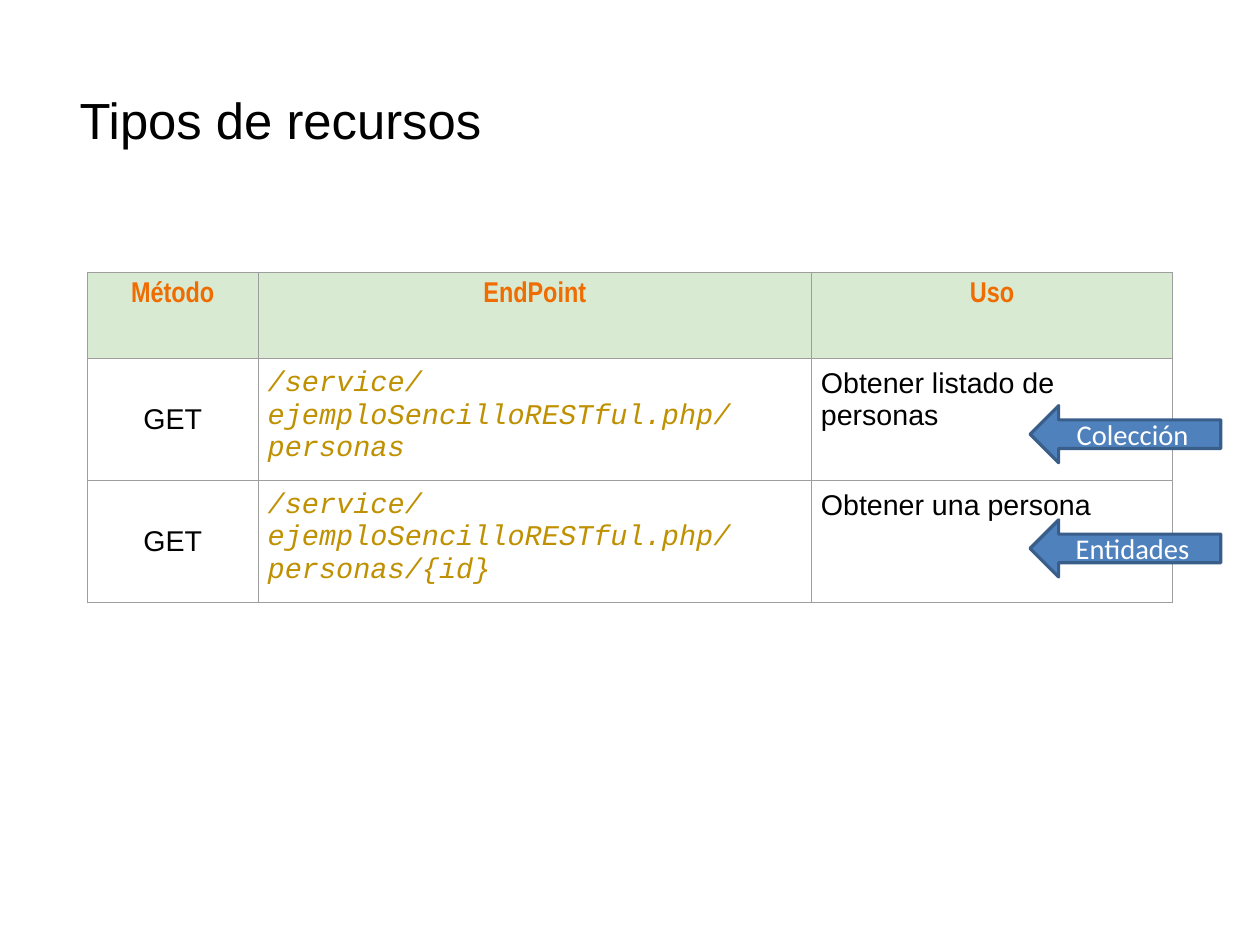
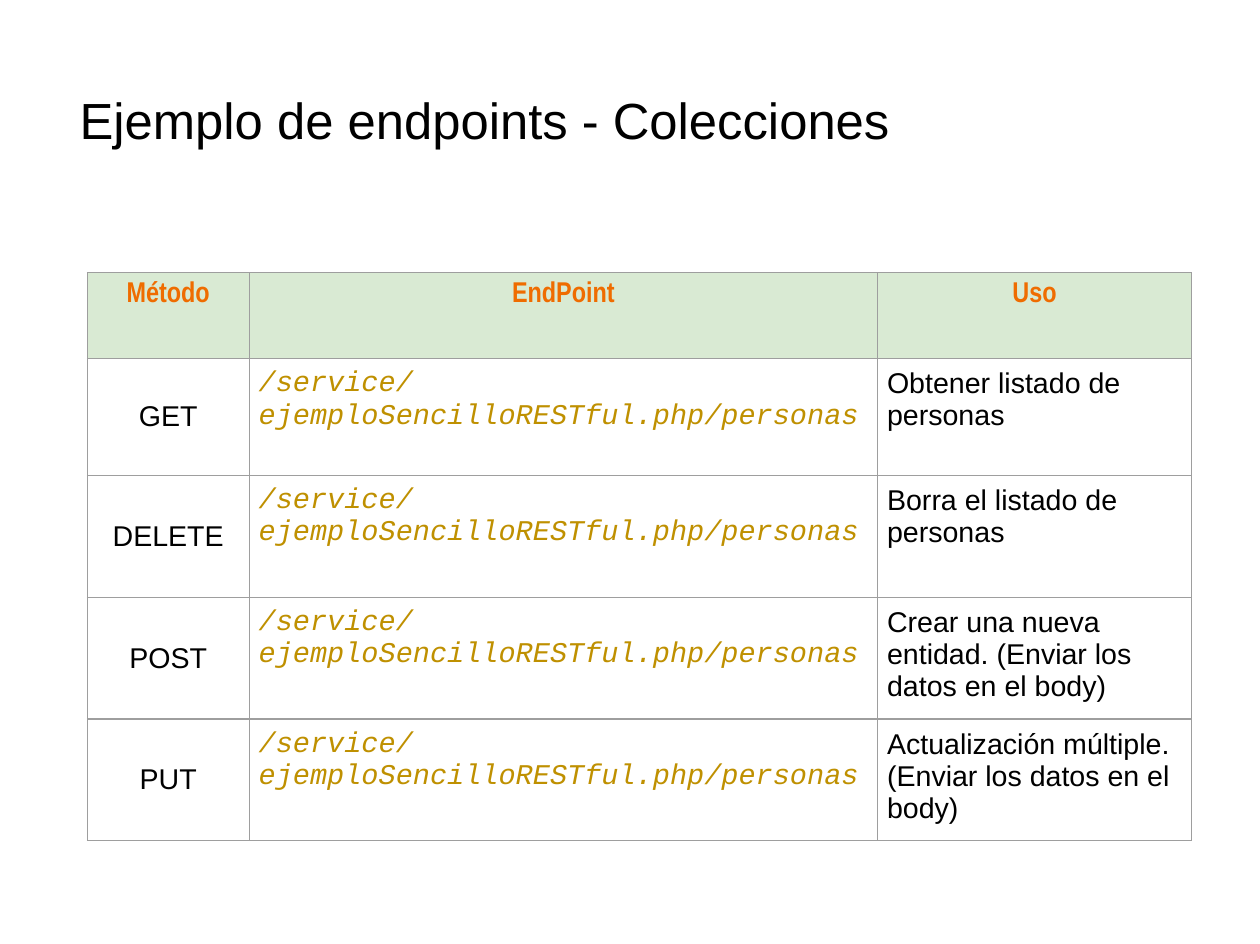
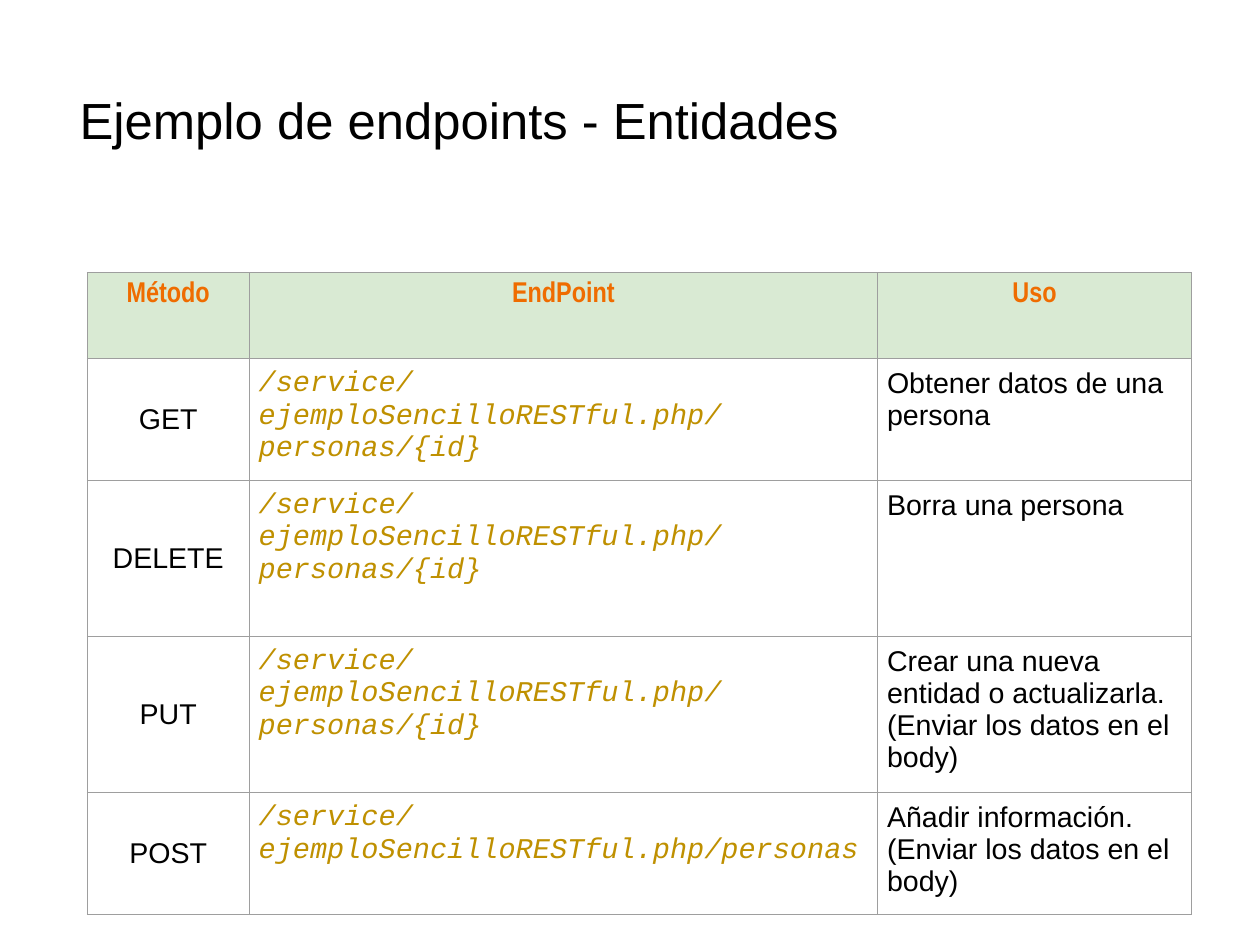
from lxml import etree
from pptx import Presentation
from pptx.dml.color import RGBColor
from pptx.enum.shapes import MSO_SHAPE
from pptx.enum.text import MSO_ANCHOR, PP_ALIGN
from pptx.oxml.ns import qn
from pptx.util import Cm, Pt

LEFT, CENTER = PP_ALIGN.LEFT, PP_ALIGN.CENTER
TOP, MIDDLE = MSO_ANCHOR.TOP, MSO_ANCHOR.MIDDLE
LEFT_ARROW = MSO_SHAPE.LEFT_ARROW

BLACK = RGBColor(0x00, 0x00, 0x00)
WHITE = RGBColor(0xFF, 0xFF, 0xFF)
ORANGE = RGBColor(0xEF, 0x6C, 0x00)
GOLD = RGBColor(0xBF, 0x90, 0x00)
PALE_GREEN = RGBColor(0xD9, 0xEA, 0xD3)
GREY = RGBColor(0x9E, 0x9E, 0x9E)
BLUE = RGBColor(0x4F, 0x81, 0xBD)
DARK_BLUE = RGBColor(0x39, 0x5E, 0x89)

# Column styles: alignment, anchor, font, colour, italic
BODY_STYLES = [
    (CENTER, MIDDLE, "Arial", BLACK, False),
    (LEFT, TOP, "Courier New", GOLD, True),
    (LEFT, TOP, "Arial", BLACK, False),
]
HEADINGS = ["Método", "EndPoint", "Uso"]
HEADING_STYLE = (CENTER, TOP, "Arial Narrow", ORANGE, False)
HEADING_HEIGHT = 1.91
CELL_MARGIN = Cm(0.21)

COLLECTION = "/service/ejemploSencilloRESTful.php/personas"
ENTITY = COLLECTION + "/{id}"
NARROW_USE = [3.6, 13.97, 6.98]
WIDE_USE = [3.8, 12.3, 8.03]

# Title, column widths, rows (height, method, endpoint, use), arrow labels
SLIDES = [
    ("Tipos de recursos", WIDE_USE, [
        (2.71, "GET", COLLECTION, "Obtener listado de personas"),
        (2.69, "GET", ENTITY, "Obtener una persona"),
    ], ["Colección", "Entidades"]),
    ("Ejemplo de endpoints - Colecciones", NARROW_USE, [
        (2.6, "GET", COLLECTION, "Obtener listado de personas"),
        (2.71, "DELETE", COLLECTION, "Borra el listado de personas"),
        (2.7, "POST", COLLECTION,
         "Crear una nueva entidad. (Enviar los datos en el body)"),
        (2.7, "PUT", COLLECTION,
         "Actualización múltiple. (Enviar los datos en el body)"),
    ], []),
    ("Ejemplo de endpoints - Entidades", NARROW_USE, [
        (2.71, "GET", ENTITY, "Obtener datos de una persona"),
        (3.47, "DELETE", ENTITY, "Borra una persona"),
        (3.47, "PUT", ENTITY,
         "Crear una nueva entidad o actualizarla. (Enviar los datos en el body)"),
        (2.71, "POST", COLLECTION,
         "Añadir información. (Enviar los datos en el body)"),
    ], []),
]


def write(frame, text, size, font, color, align=LEFT, bold=False, italic=False):
    paragraph = frame.paragraphs[0]
    paragraph.alignment = align
    run = paragraph.add_run()
    run.text = text
    run.font.size = Pt(size)
    run.font.name = font
    run.font.color.rgb = color
    run.font.bold = bold
    run.font.italic = italic


def add_borders(cell):
    properties = cell._tc.get_or_add_tcPr()
    for side in ("a:lnL", "a:lnR", "a:lnT", "a:lnB"):
        line = etree.SubElement(properties, qn(side), w=str(Pt(0.75)))
        fill = etree.SubElement(line, qn("a:solidFill"))
        etree.SubElement(fill, qn("a:srgbClr"), val=str(GREY))


prs = Presentation()
prs.slide_width, prs.slide_height = Cm(28.01), Cm(20.99)

for title, widths, rows, labels in SLIDES:
    slide = prs.slides.add_slide(prs.slide_layouts[6])

    # Title
    heading = slide.shapes.add_textbox(Cm(1.77), Cm(1.98), Cm(21.77), Cm(1.37)).text_frame
    heading.word_wrap = True
    heading.margin_left = heading.margin_right = 0
    heading.margin_top = heading.margin_bottom = 0
    write(heading, title, 32, "Arial", BLACK)

    # Table of endpoints
    heights = [HEADING_HEIGHT] + [row[0] for row in rows]
    endpoints = slide.shapes.add_table(
        len(heights), len(widths), Cm(1.94), Cm(6.06),
        Cm(sum(widths)), Cm(sum(heights))).table
    endpoints.first_row = endpoints.horz_banding = False
    for column, width in zip(endpoints.columns, widths):
        column.width = Cm(width)
    for row, height in zip(endpoints.rows, heights):
        row.height = Cm(height)

    for r, texts in enumerate([HEADINGS] + [row[1:] for row in rows]):
        is_heading = r == 0
        for c, text in enumerate(texts):
            align, anchor, font, color, italic = (
                HEADING_STYLE if is_heading else BODY_STYLES[c])
            cell = endpoints.cell(r, c)
            cell.margin_left = cell.margin_right = CELL_MARGIN
            cell.margin_top = cell.margin_bottom = CELL_MARGIN
            cell.vertical_anchor = anchor
            add_borders(cell)
            if is_heading:
                cell.fill.solid()
                cell.fill.fore_color.rgb = PALE_GREEN
            else:
                cell.fill.background()
            write(cell.text_frame, text, 18, font, color, align, is_heading, italic)

    # Arrows naming the kind of resource
    for i, label in enumerate(labels):
        arrow = slide.shapes.add_shape(
            LEFT_ARROW, Cm(22.9), Cm(9.02 + 2.54 * i), Cm(4.24), Cm(1.27))
        arrow.shadow.inherit = False
        arrow.fill.solid()
        arrow.fill.fore_color.rgb = BLUE
        arrow.line.color.rgb = DARK_BLUE
        arrow.line.width = Pt(2)
        arrow.text_frame.vertical_anchor = MIDDLE
        write(arrow.text_frame, label, 18, "Calibri", WHITE, CENTER)

prs.save("out.pptx")
